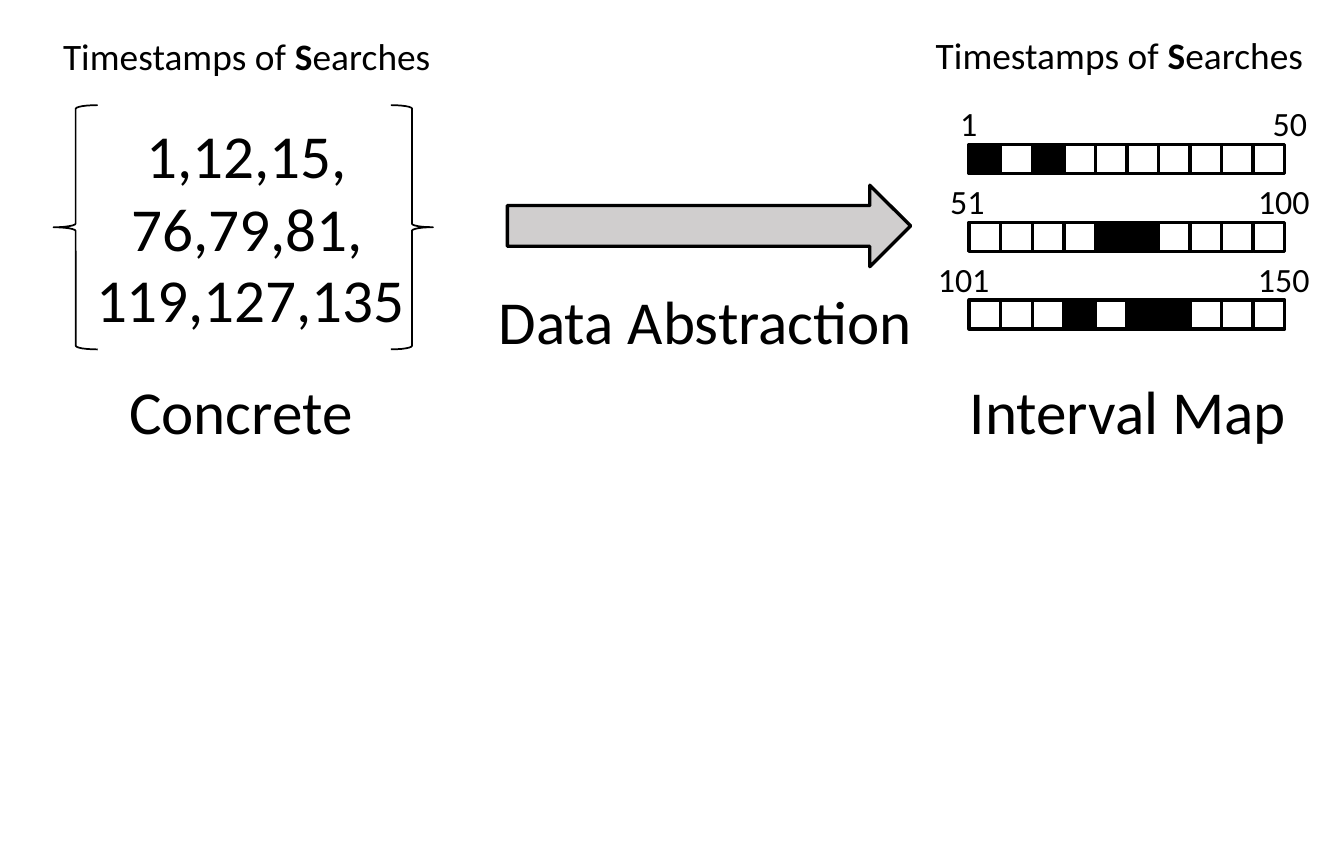
from dataclasses import dataclass

from pptx import Presentation
from pptx.dml.color import RGBColor
from pptx.enum.shapes import MSO_SHAPE
from pptx.enum.text import MSO_AUTO_SIZE
from pptx.util import Pt

LEFT_BRACE = MSO_SHAPE.LEFT_BRACE
RIGHT_BRACE = MSO_SHAPE.RIGHT_BRACE
RIGHT_ARROW = MSO_SHAPE.RIGHT_ARROW
RECTANGLE = MSO_SHAPE.RECTANGLE
FIT_SHAPE = MSO_AUTO_SIZE.SHAPE_TO_FIT_TEXT
BLANK_LAYOUT = 6


@dataclass(frozen=True)
class Theme:
    font: str = "Calibri"
    ink: RGBColor = RGBColor(0x00, 0x00, 0x00)
    paper: RGBColor = RGBColor(0xFF, 0xFF, 0xFF)
    arrow: RGBColor = RGBColor(0xD0, 0xCE, 0xCE)
    large: float = 18
    heading: float = 11
    small: float = 10
    thin: float = 0.5
    outline: float = 1


THEME = Theme()

BRACES = [
    (LEFT_BRACE, (15.8, 31, 13, 72)),
    (RIGHT_BRACE, (115.2, 31, 12.4, 72)),
]
HEADING_SPANS = [("Timestamps of ", False), ("S", True), ("earches", False)]
HEADING_AREAS = [(11.5, 6.3, 124, 20.6), (268.6, 6, 126, 20.6)]
LARGE_TEXTS = [
    ("1,12,15,", (36, 31, 74.2, 29), False),
    ("76,79,81,", (31.7, 52.6, 83.5, 29), True),
    ("119,127,135", (21.2, 73.6, 107.3, 29), True),
    ("Data Abstraction", (139.9, 80, 137.5, 29), False),
    ("Concrete", (31, 106.6, 81.4, 29), False),
    ("Interval Map", (278.7, 106.6, 108.7, 29), False),
]

CELL_COUNT = 10
CELL_WIDTH, CELL_HEIGHT = 9.3, 8.6
MAP_LEFT, MAP_TOP, ROW_PITCH = 285.6, 42.6, 22.9
LABEL_RISE, LABEL_HEIGHT = 15.8, 24.5
INTERVAL_ROWS = [
    (("1", 275.8, 20.2), ("50", 367.9, 33.1), {0, 2}),
    (("51", 272.9, 33.1), ("100", 363.6, 41.8), {4, 5}),
    (("101", 269.3, 41), ("150", 363.6, 40.3), {3, 5, 6}),
]


def place(area):
    return [Pt(length) for length in area]


def add_outlined_shape(shapes, kind, area, line_width, fill=None):
    shape = shapes.add_shape(kind, *place(area))
    shape.shadow.inherit = False
    if fill is None:
        shape.fill.background()
    else:
        shape.fill.solid()
        shape.fill.fore_color.rgb = fill
    shape.line.color.rgb = THEME.ink
    shape.line.width = Pt(line_width)


def add_text(shapes, spans, area, size, wrap=True):
    box = shapes.add_textbox(*place(area))
    frame = box.text_frame
    frame.word_wrap = wrap
    frame.auto_size = FIT_SHAPE
    para = frame.paragraphs[0]
    for text, bold in spans:
        span = para.add_run()
        span.text = text
        formats = {"name": THEME.font, "size": Pt(size), "bold": bold}
        for attribute, value in formats.items():
            setattr(span.font, attribute, value)
        span.font.color.rgb = THEME.ink


def add_interval_row(shapes, top, labels, filled_cells):
    row = shapes.add_group_shape()
    for index in range(CELL_COUNT):
        area = (MAP_LEFT + index * CELL_WIDTH, top, CELL_WIDTH, CELL_HEIGHT)
        fill = THEME.ink if index in filled_cells else THEME.paper
        add_outlined_shape(row.shapes, RECTANGLE, area, THEME.outline, fill)
    for text, left, width in labels:
        area = (left, top - LABEL_RISE, width, LABEL_HEIGHT)
        add_text(row.shapes, [(text, False)], area, THEME.small)


def main():
    deck = Presentation()
    deck.slide_width, deck.slide_height = Pt(396), Pt(252)
    page = deck.slides.add_slide(deck.slide_layouts[BLANK_LAYOUT])
    shapes = page.shapes

    for kind, area in BRACES:
        add_outlined_shape(shapes, kind, area, THEME.thin)
    add_outlined_shape(
        shapes, RIGHT_ARROW, (149.5, 54.6, 118.8, 24), THEME.outline, THEME.arrow
    )
    for text, area, wrap in LARGE_TEXTS:
        add_text(shapes, [(text, False)], area, THEME.large, wrap)
    for area in HEADING_AREAS:
        add_text(shapes, HEADING_SPANS, area, THEME.heading)
    for index, (first, last, filled_cells) in enumerate(INTERVAL_ROWS):
        top = MAP_TOP + index * ROW_PITCH
        add_interval_row(shapes, top, (first, last), filled_cells)

    deck.save("out.pptx")


main()
